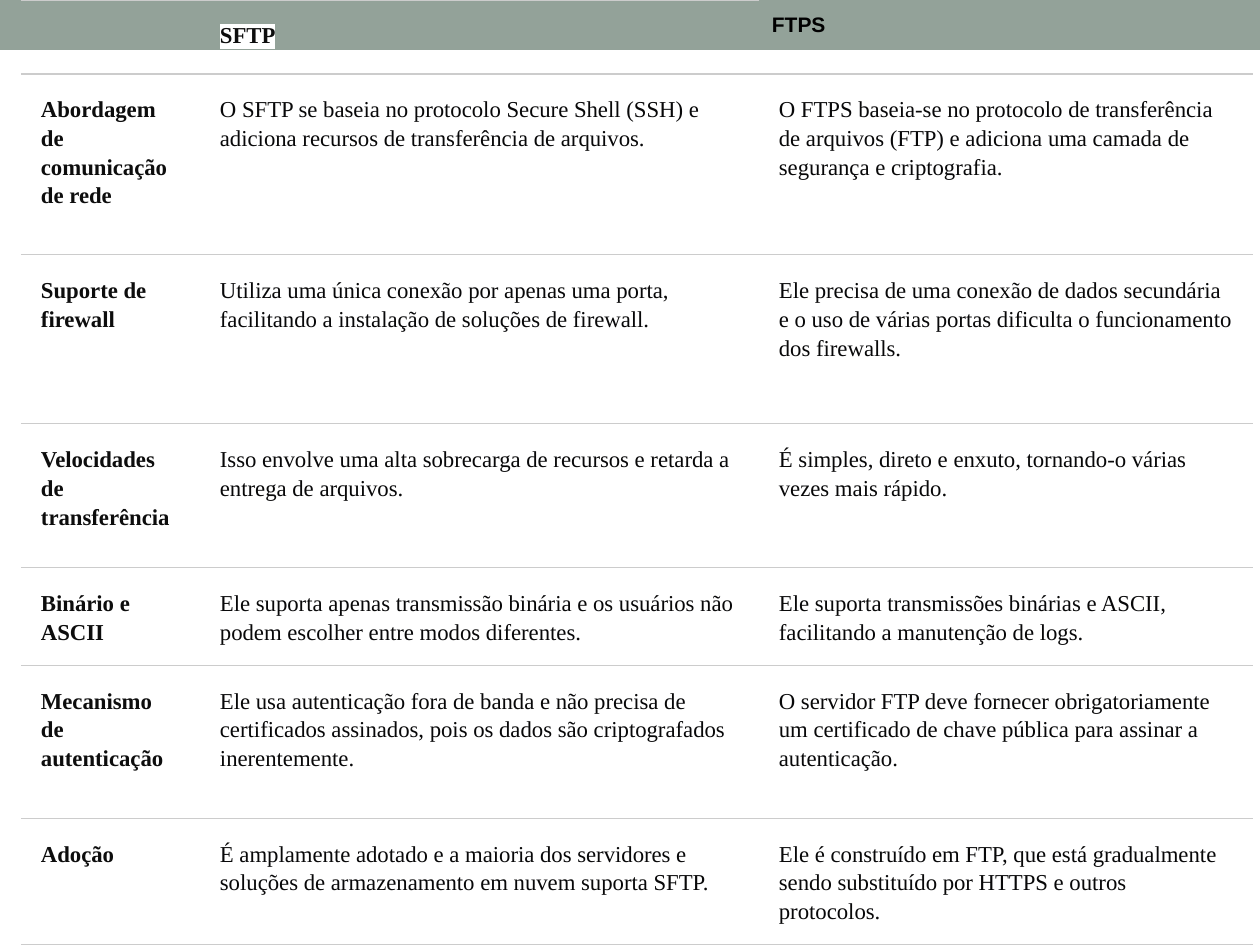
from pptx import Presentation
from pptx.dml.color import RGBColor
from pptx.enum import shapes
from pptx.oxml import parse_xml
from pptx.oxml.ns import nsdecls
from pptx.util import Emu, Pt

PX = 914400 // 126
INK, BODY, LINE, WHITE = "0D0D0D", "080809", "CCCCCC", "FFFFFF"


def px(n):
    return Emu(n * PX)


def rgb(code):
    return RGBColor.from_string(code)


class Deck:
    """Style and current slide."""

    font, size, space, pad = "Times New Roman", 13, 1.15, 20

    def __init__(self, w, h):
        self.prs = Presentation()
        self.prs.slide_width, self.prs.slide_height = px(w), px(h)
        self.slide = self.prs.slides.add_slide(self.prs.slide_layouts[6])

    def band(self, x, y, w, h, color):
        box = self.slide.shapes.add_shape(
            shapes.MSO_SHAPE.RECTANGLE, px(x), px(y), px(w), px(h))
        box.shadow.inherit = False
        box.fill.solid()
        box.fill.fore_color.rgb = rgb(color)
        box.line.fill.background()

    def table(self, x, y, cols, rows):
        frame = self.slide.shapes.add_table(
            len(rows), len(cols), px(x), px(y), px(sum(cols)), px(sum(rows)))
        grid = frame.table
        grid.first_row = grid.horz_banding = False
        for col, w in zip(grid.columns, cols):
            col.width = px(w)
        for row, h in zip(grid.rows, rows):
            row.height = px(h)
        return grid

    def edge(self, cell, sides):
        props = cell._tc.get_or_add_tcPr()
        for i, side in enumerate("LRTB"):
            paint = (f'<a:solidFill><a:srgbClr val="{LINE}"/></a:solidFill>'
                     if side in sides else "<a:noFill/>")
            props.insert(i, parse_xml(
                f'<a:ln{side} {nsdecls("a")} w="9525">{paint}</a:ln{side}>'))

    def cell(self, cell, words, color=BODY, bold=False, font=None, size=None,
             pad=None, space=None, mark=True):
        pad = px(pad or self.pad)
        cell.margin_left = cell.margin_right = pad
        cell.margin_top = cell.margin_bottom = pad
        para = cell.text_frame.paragraphs[0]
        para.line_spacing = space or self.space
        style = para.font
        style.name, style.size = font or self.font, Pt(size or self.size)
        style.bold, style.color.rgb = bold, rgb(color)
        run = para.add_run()
        run.text = words
        if mark:
            run._r.get_or_add_rPr().append(parse_xml(
                f'<a:highlight {nsdecls("a")}><a:srgbClr val="{WHITE}"/>'
                '</a:highlight>'))


ROWS = [
    ("Abordagem de comunicação de rede",
     "O SFTP se baseia no protocolo Secure Shell (SSH) e adiciona recursos de transferência de arquivos.",
     "O FTPS baseia-se no protocolo de transferência de arquivos (FTP) e adiciona uma camada de segurança e criptografia."),
    ("Suporte de firewall",
     "Utiliza uma única conexão por apenas uma porta, facilitando a instalação de soluções de firewall.",
     "Ele precisa de uma conexão de dados secundária e o uso de várias portas dificulta o funcionamento dos firewalls."),
    ("Velocidades de transferência",
     "Isso envolve uma alta sobrecarga de recursos e retarda a entrega de arquivos.",
     "É simples, direto e enxuto, tornando-o várias vezes mais rápido."),
    ("Binário e ASCII",
     "Ele suporta apenas transmissão binária e os usuários não podem escolher entre modos diferentes.",
     "Ele suporta transmissões binárias e ASCII, facilitando a manutenção de logs."),
    ("Mecanismo de autenticação",
     "Ele usa autenticação fora de banda e não precisa de certificados assinados, pois os dados são criptografados inerentemente.",
     "O servidor FTP deve fornecer obrigatoriamente um certificado de chave pública para assinar a autenticação."),
    ("Adoção",
     "É amplamente adotado e a maioria dos servidores e soluções de armazenamento em nuvem suporta SFTP.",
     "Ele é construído em FTP, que está gradualmente sendo substituído por HTTPS e outros protocolos."),
]


def main():
    deck = Deck(1260, 945)

    # Top band
    deck.band(0, 0, 1260, 50, "93A299")

    # Comparison table: clear cells with thin rules
    grid = deck.table(21, 0, [179, 559, 494],
                      [74, 181, 169, 144, 96, 153, 96])
    for cell in grid.iter_cells():
        cell.fill.background()
        deck.edge(cell, "TB")

    # Header row
    deck.cell(grid.cell(0, 1), "SFTP", INK, True)
    last = grid.cell(0, 2)
    deck.cell(last, "FTPS", "000000", True, "Arial", 12, 13, 1.0, False)
    last._tc.tcPr.remove(last._tc.tcPr[2])
    last._tc.tcPr.insert(2, parse_xml(
        f'<a:lnT {nsdecls("a")}><a:noFill/></a:lnT>'))

    # Body rows
    for r, words in enumerate(ROWS, 1):
        for c, line in enumerate(words):
            head = c == 0
            deck.cell(grid.cell(r, c), line, INK if head else BODY, head)

    deck.prs.save("out.pptx")


if __name__ == "__main__":
    main()
